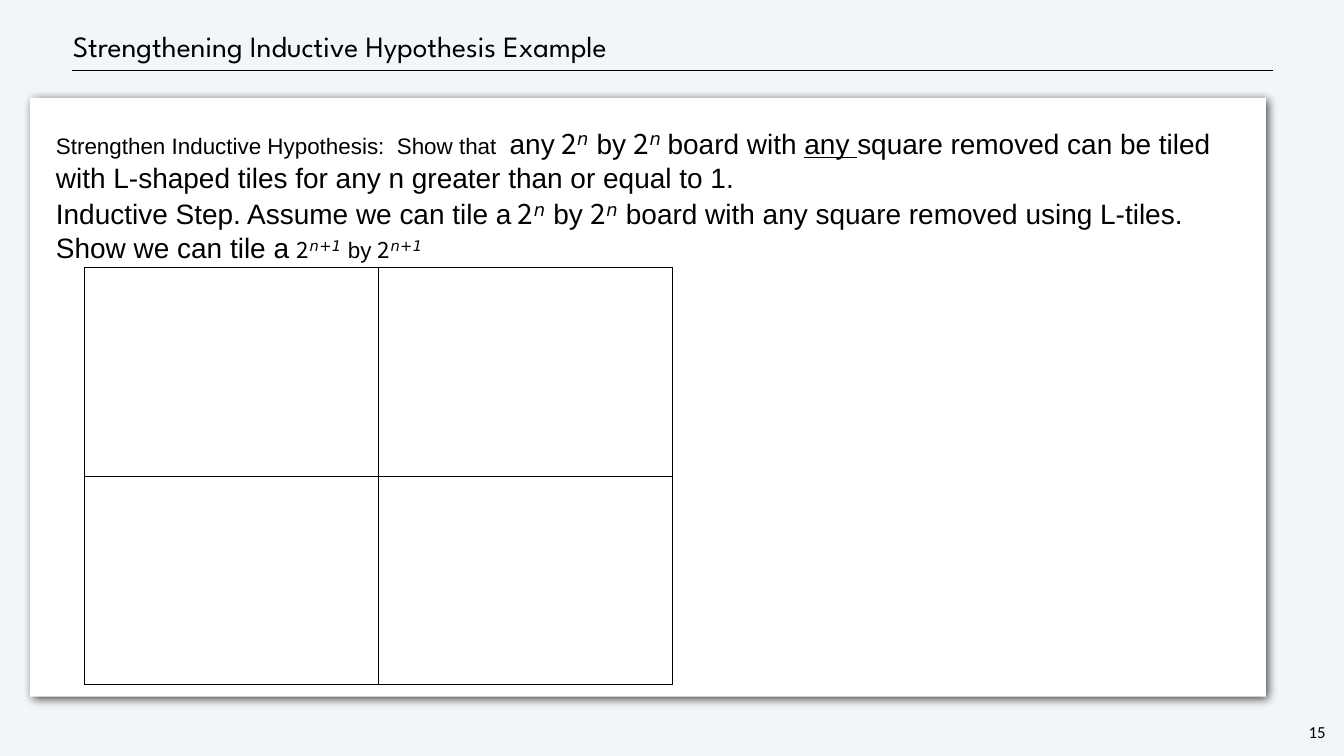
import pptx
import pptx.dml.color
import pptx.enum.shapes
import pptx.enum.text
import pptx.oxml
import pptx.oxml.ns
import pptx.util

Pt = pptx.util.Pt
ANCHOR = pptx.enum.text.MSO_ANCHOR
ALIGN = pptx.enum.text.PP_ALIGN
INK, PAPER, BACKDROP = "000000", "FFFFFF", "F3F6F9"
BODY, SMALL = 40, 32


def rgb(value):
    return pptx.dml.color.RGBColor.from_string(value)


def append_xml(parent, xml):
    """Append an element written with the a: prefix."""
    namespace = pptx.oxml.ns.nsdecls("a")
    parent.append(pptx.oxml.parse_xml(xml.replace(" ", f" {namespace} ", 1)))


def plain(text, size=BODY, **formats):
    return text, {"name": "Arial", "size": Pt(size), **formats}, {}


def power(exponent, size=BODY, lead=""):
    """Runs for 2 raised to an exponent, after optional leading space."""
    return [
        (lead + "2", {"name": "Noto Sans CJK TC", "size": Pt(size)}, {"spc": "40"}),
        (exponent, {"name": "DejaVu Sans", "size": Pt(size + 4), "italic": True},
         {"spc": "60", "baseline": "28000"}),
    ]


class SlideBuilder:
    def __init__(self, slide, ink=INK):
        self.slide = slide
        self.ink = ink

    def background(self, color):
        fill = self.slide.background.fill
        fill.solid()
        fill.fore_color.rgb = rgb(color)

    def set_text(self, shape, paragraphs, inset, frame_formats=None, paragraph_formats=None):
        """Fill a shape with paragraphs made of (text, font formats, run attributes)."""
        frame = shape.text_frame
        formats = {"word_wrap": True, "vertical_anchor": ANCHOR.TOP}
        formats.update({f"margin_{side}": Pt(inset) for side in ("left", "top", "right", "bottom")})
        formats.update(frame_formats or {})
        for key, value in formats.items():
            setattr(frame, key, value)
        for index, runs in enumerate(paragraphs):
            paragraph = frame.add_paragraph() if index else frame.paragraphs[0]
            for key, value in {"alignment": ALIGN.LEFT, **(paragraph_formats or {})}.items():
                setattr(paragraph, key, value)
            for text, font_formats, attributes in runs:
                run = paragraph.add_run()
                run.text = text
                for key, value in font_formats.items():
                    setattr(run.font, key, value)
                run.font.color.rgb = rgb(self.ink)
                for key, value in attributes.items():
                    run.font._element.set(key, value)

    def text(self, box, runs, inset, frame_formats, paragraph_formats):
        label = self.slide.shapes.add_textbox(*map(Pt, box))
        self.set_text(label, [runs], inset, frame_formats, paragraph_formats)

    def rule(self, *ends):
        line = self.slide.shapes.add_connector(
            pptx.enum.shapes.MSO_CONNECTOR.STRAIGHT, *map(Pt, ends))
        line.line.color.rgb = rgb(self.ink)
        line.line.width = Pt(1)
        append_xml(line._element.spPr, "<a:effectLst />")

    def panel(self, box, color, paragraphs, inset):
        """Rectangle with a soft shadow to the lower right."""
        panel = self.slide.shapes.add_shape(
            pptx.enum.shapes.MSO_SHAPE.RECTANGLE, *map(Pt, box))
        panel.fill.solid()
        panel.fill.fore_color.rgb = rgb(color)
        panel.line.fill.background()
        append_xml(
            panel._element.spPr,
            f'<a:effectLst ><a:outerShdw blurRad="{Pt(13)}" dist="{Pt(6)}" dir="2700000" '
            f'algn="tl" rotWithShape="0"><a:srgbClr val="{self.ink}"><a:alpha val="75000"/>'
            '</a:srgbClr></a:outerShdw></a:effectLst>')
        self.set_text(panel, paragraphs, inset)

    def board(self, box, rows, columns):
        """Empty table with thin borders round every cell."""
        table = self.slide.shapes.add_table(rows, columns, *map(Pt, box)).table
        table.first_row = table.horz_banding = False
        for cell in table.iter_cells():
            properties = cell._tc.get_or_add_tcPr()
            for side in "LRTB":
                append_xml(
                    properties,
                    f'<a:ln{side} w="{Pt(1)}"><a:solidFill><a:srgbClr val="{self.ink}"/>'
                    f"</a:solidFill></a:ln{side}>")
            cell.fill.background()


def main():
    deck = pptx.Presentation()
    deck.slide_width, deck.slide_height = Pt(1920.24), Pt(1080)
    builder = SlideBuilder(deck.slides.add_slide(deck.slide_layouts[6]))
    builder.background(BACKDROP)
    builder.rule(102.24, 100.8, 1819.44, 100.8)
    builder.text(
        (1866.24, 1028.88, 30.96, 33.84),
        [("15", {"name": "Calibri", "size": Pt(24)}, {})], 3,
        {"word_wrap": False}, {"alignment": ALIGN.CENTER, "line_spacing": Pt(28)})
    builder.text(
        (100, 30.24, 1628.64, 71.28),
        [("Strengthening Inductive Hypothesis Example",
          {"name": "League Spartan", "size": Pt(42)}, {})], 4,
        {"vertical_anchor": ANCHOR.MIDDLE},
        {"line_spacing": Pt(50), "space_before": Pt(3)})

    hypothesis = [
        plain("Strengthen Inductive Hypothesis:  Show that  ", SMALL), plain("any"),
        *power("n", lead=" "), plain(" by "), *power("n "),
        plain("board with "), plain("any ", underline=True),
        plain("square removed can be tiled with L-shaped tiles "
              "for any n greater than or equal to 1."),
    ]
    inductive_step = [
        plain("Inductive Step. Assume we can tile a"),
        *power("n", lead=" "), plain(" by "), *power("n"),
        plain(" board with any square removed using L-tiles. Show we can tile a "),
        *power("n+1", SMALL), plain(" by ", SMALL), *power("n+1", SMALL),
    ]
    builder.panel((43.2, 139.68, 1765.44, 855.36), PAPER, [hypothesis, inductive_step], 36.72)
    builder.board((120.24, 382.32, 840, 596), rows=2, columns=2)
    deck.save("out.pptx")


if __name__ == "__main__":
    main()
